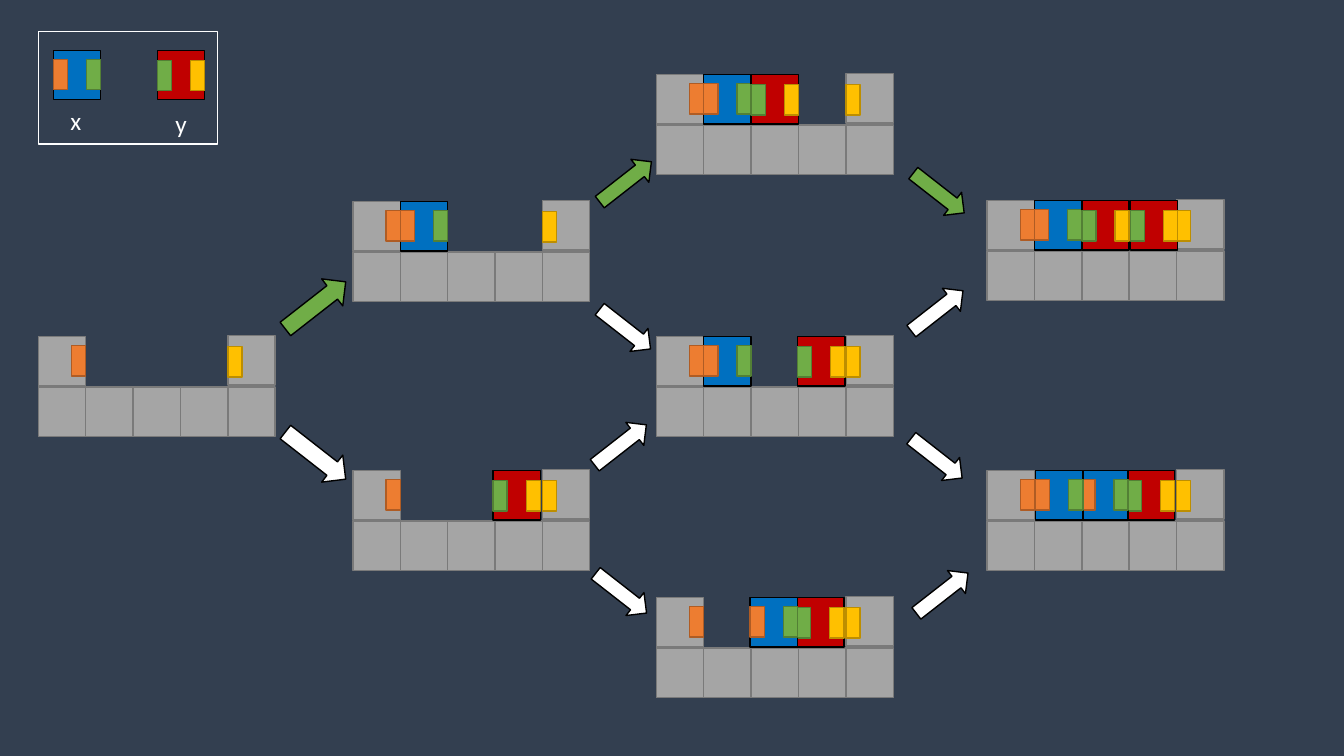
from pptx import Presentation
from pptx.dml import color
from pptx.enum import shapes, text
from pptx.util import Inches, Pt

BLACK, WHITE = "000000", "FFFFFF"
ORANGE = ("ED7D31", "AF5C24")
GREEN = ("70AD47", "538035")
YELLOW = ("FFC000", "BD8E00")
GRAY = ("A5A5A5", "7A7A7A")
CELL_WIDTH, CELL_HEIGHT = 0.47, 0.49
TAB_WIDTH, TAB_HEIGHT = 0.14, 0.3

TILES = {
    "x": ("0070C0", ORANGE, GREEN, 0.09),
    "y": ("C00000", GREEN, YELLOW, 0.1),
}

presentation = Presentation()
presentation.slide_width = Inches(13.33)
presentation.slide_height = Inches(7.5)
slide = presentation.slides.add_slide(presentation.slide_layouts[6])
slide.background.fill.solid()
slide.background.fill.fore_color.rgb = color.RGBColor.from_string("333F50")


def add_box(parent, left, top, width, height, colors, kind=shapes.MSO_SHAPE.RECTANGLE):
    shape = parent.add_shape(kind, Inches(left), Inches(top), Inches(width), Inches(height))
    fill, line = colors
    if fill:
        shape.fill.solid()
        shape.fill.fore_color.rgb = color.RGBColor.from_string(fill)
    else:
        shape.fill.background()
    shape.line.color.rgb = color.RGBColor.from_string(line)
    shape.line.width = Pt(1)
    shape.shadow.inherit = False
    return shape


def add_tile(name, left, top):
    fill, left_tab, right_tab, tab_drop = TILES[name]
    add_box(slide.shapes, left, top, CELL_WIDTH, CELL_HEIGHT, (fill, BLACK))
    for offset, tab in ((0, left_tab), (CELL_WIDTH - TAB_WIDTH, right_tab)):
        add_box(slide.shapes, left + offset, top + tab_drop, TAB_WIDTH, TAB_HEIGHT, tab)


add_box(slide.shapes, 0.38, 0.31, 1.78, 1.12, (None, WHITE))
for name, tile_left, label_left, label_top, label_width in (
    ("x", 0.53, 0.6, 1, 0.31),
    ("y", 1.56, 1.64, 1.03, 0.32),
):
    add_tile(name, tile_left, 0.5)
    label = slide.shapes.add_textbox(
        Inches(label_left), Inches(label_top), Inches(label_width), Inches(0.4))
    label.text_frame.word_wrap = False
    label.text_frame.auto_size = text.MSO_AUTO_SIZE.SHAPE_TO_FIT_TEXT
    run = label.text_frame.paragraphs[0].add_run()
    run.text = name
    run.font.name = "Calibri"
    run.font.size = Pt(18)
    run.font.color.rgb = color.RGBColor.from_string(WHITE)

boards = [
    (0.38, 3.34, []),
    (3.5, 2, [("x", 0.47)]),
    (3.5, 4.67, [("y", 1.39)]),
    (6.51, 0.74, [("x", 0.47), ("y", 0.94)]),
    (6.51, 3.34, [("x", 0.47), ("y", 1.4)]),
    (6.51, 5.93, [("y", 1.39), ("x", 0.93)]),
    (9.79, 1.99, [("x", 0.47), ("y", 0.94), ("y", 1.42)]),
    (9.79, 4.67, [("y", 1.39), ("x", 0.93), ("x", 0.48)]),
]
for left, top, tiles in boards:
    surface = slide.shapes.add_group_shape()
    right_cell = left + 4 * CELL_WIDTH
    add_box(surface.shapes, left, top, CELL_WIDTH, CELL_HEIGHT, GRAY)
    for column in range(5):
        add_box(surface.shapes, left + column * CELL_WIDTH, top + 0.5,
                CELL_WIDTH, CELL_HEIGHT, GRAY)
    add_box(surface.shapes, right_cell, top - 0.01, CELL_WIDTH, CELL_HEIGHT, GRAY)
    add_box(slide.shapes, right_cell, top + 0.1, TAB_WIDTH, TAB_HEIGHT, YELLOW)
    add_box(slide.shapes, left + CELL_WIDTH - TAB_WIDTH, top + 0.09,
            TAB_WIDTH, TAB_HEIGHT, ORANGE)
    for name, offset in tiles:
        add_tile(name, left + offset, top)

UP, DOWN = 322, 38
arrows = [
    (2.75, 2.86, 0.76, 0.34, UP, GREEN[0]),
    (2.75, 4.35, 0.76, 0.34, DOWN, WHITE),
    (5.88, 1.66, 0.65, 0.29, UP, GREEN[0]),
    (5.88, 3.12, 0.64, 0.29, DOWN, WHITE),
    (5.83, 4.27, 0.65, 0.29, UP, WHITE),
    (5.84, 5.74, 0.64, 0.29, DOWN, WHITE),
    (8.99, 1.77, 0.64, 0.29, DOWN, GREEN[0]),
    (8.97, 2.94, 0.65, 0.29, UP, WHITE),
    (8.97, 4.4, 0.64, 0.29, DOWN, WHITE),
    (9.02, 5.74, 0.65, 0.29, UP, WHITE),
]
for left, top, width, height, rotation, fill in arrows:
    arrow = add_box(slide.shapes, left, top, width, height, (fill, BLACK),
                    shapes.MSO_SHAPE.RIGHT_ARROW)
    arrow.rotation = rotation

presentation.save("out.pptx")
